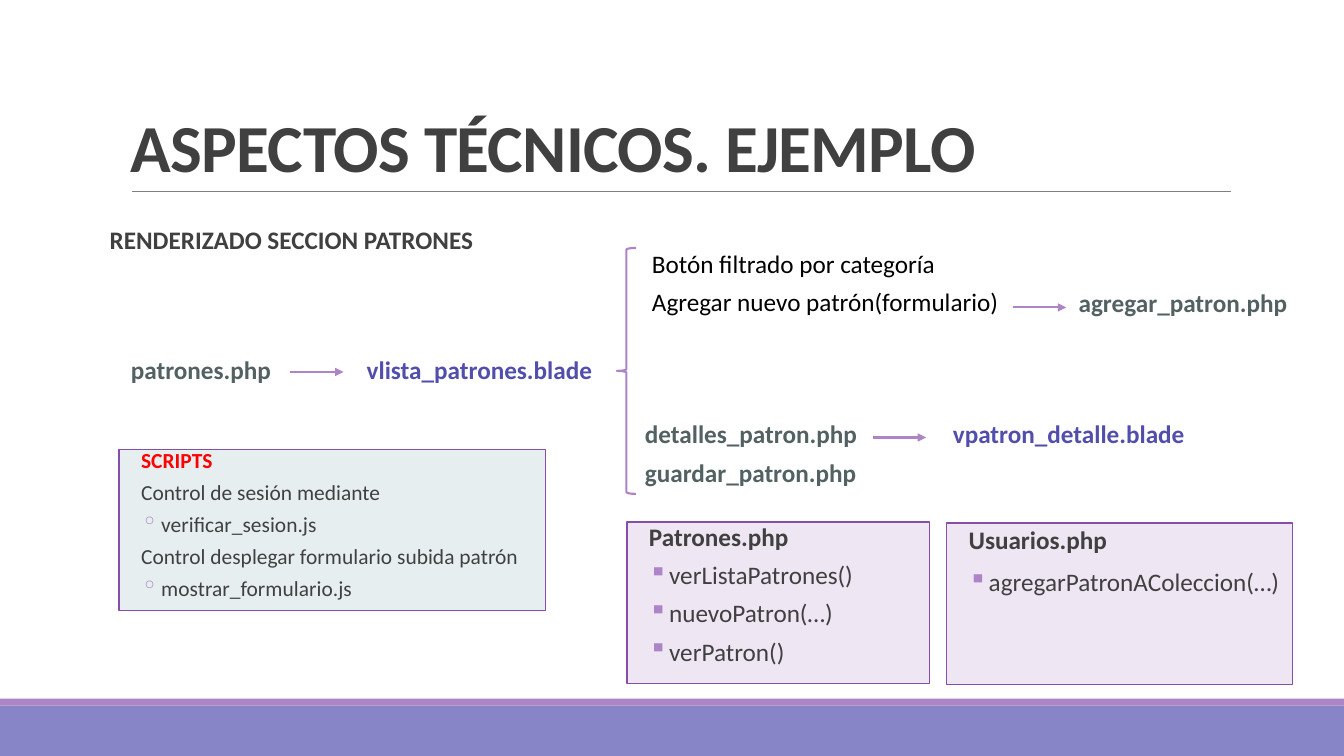
"""Build the slide on the technical aspects of rendering the patterns section."""
import pptx
import pptx.dml.color
import pptx.enum.shapes
import pptx.enum.text
import pptx.oxml.ns
import pptx.util
from lxml import etree

Pt = pptx.util.Pt
SHAPES = pptx.enum.shapes.MSO_SHAPE
ANCHORS = pptx.enum.text.MSO_ANCHOR

DARK, BLACK, RED = "404040", "000000", "FF0000"
PHP, BLADE = "536162", "524EAB"
LILAC, PURPLE, INDIGO, GREY = "AD84C6", "874EA9", "8784C7", "808080"
PALE_BLUE, PALE_LILAC = "E6EEF0", "EFE6F4"


def rgb(code):
    return pptx.dml.color.RGBColor.from_string(code)


def assign(target, values):
    for name, value in values.items():
        setattr(target, name, value)


def add_xml(parent, tag, **attributes):
    return etree.SubElement(parent, pptx.oxml.ns.qn(tag), attributes)


class SlideBuilder:
    font_name = "Calibri"

    def __init__(self, slide):
        self.slide = slide

    def shape(self, kind, left, top, width, height, fill=None, line=None, weight=1):
        shape = self.slide.shapes.add_shape(kind, Pt(left), Pt(top), Pt(width), Pt(height))
        shape.shadow.inherit = False
        if fill:
            shape.fill.solid()
            shape.fill.fore_color.rgb = rgb(fill)
        else:
            shape.fill.background()
        if line:
            shape.line.color.rgb = rgb(line)
            shape.line.width = Pt(weight)
        else:
            shape.line.fill.background()
        return shape

    def line(self, left, right, y, color, weight, arrow=False):
        connector = self.slide.shapes.add_connector(
            pptx.enum.shapes.MSO_CONNECTOR.STRAIGHT, Pt(left), Pt(y), Pt(right), Pt(y))
        connector.line.color.rgb = rgb(color)
        connector.line.width = Pt(weight)
        if arrow:
            add_xml(connector.get_or_add_ln(), "a:tailEnd", type="triangle")
        add_xml(connector._element.spPr, "a:effectLst")

    def fill_paragraph(self, paragraph, text, color, size=18, bold=False,
                       spacing=1.0, before=6, after=0):
        assign(paragraph, {
            "alignment": pptx.enum.text.PP_ALIGN.LEFT,
            "line_spacing": spacing,
            "space_before": Pt(before),
            "space_after": Pt(after),
        })
        run = paragraph.add_run()
        run.text = text
        assign(run.font, {"name": self.font_name, "size": Pt(size), "bold": bold})
        run.font.color.rgb = rgb(color)

    def paragraphs(self, frame, count):
        return [frame.paragraphs[0]] + [frame.add_paragraph() for _ in range(count - 1)]

    def label(self, left, top, width, height, lines, color, **style):
        box = self.slide.shapes.add_textbox(Pt(left), Pt(top), Pt(width), Pt(height))
        box.text_frame.word_wrap = True
        for paragraph, text in zip(self.paragraphs(box.text_frame, len(lines)), lines):
            self.fill_paragraph(paragraph, text, color, **style)
        return box

    def title(self, left, top, width, height, text):
        box = self.label(left, top, width, height, [text], DARK,
                         size=48, bold=True, spacing=0.85, before=0)
        box.text_frame.vertical_anchor = ANCHORS.BOTTOM
        run = box.text_frame.paragraphs[0].runs[0]
        run._r.get_or_add_rPr().set("spc", "-50")

    def panel(self, left, top, width, height, fill, heading, items, bullet,
              heading_color=DARK, size=18, spacing=0.9):
        box = self.shape(SHAPES.RECTANGLE, left, top, width, height, fill, PURPLE)
        frame = box.text_frame
        assign(frame, {"word_wrap": True, "vertical_anchor": ANCHORS.TOP,
                       "margin_left": 0, "margin_right": 0})
        rows = [(heading, heading_color, True, False)]
        rows += [(text, DARK, False, bulleted) for text, bulleted in items]
        for paragraph, row in zip(self.paragraphs(frame, len(rows)), rows):
            text, color, bold, bulleted = row
            self.fill_paragraph(paragraph, text, color, size, bold, spacing, after=4)
            properties = paragraph._p.get_or_add_pPr()
            properties.set("marL", str(int(Pt(30.2 if bulleted else 15.8))))
            properties.set("indent", str(int(Pt(-14.4 if bulleted else 0))))
            if bulleted:
                add_xml(add_xml(properties, "a:buClr"), "a:srgbClr", val=LILAC)
                add_xml(properties, "a:buChar", char=bullet)


def main():
    presentation = pptx.Presentation()
    assign(presentation, {"slide_width": Pt(960), "slide_height": Pt(540)})
    slide = presentation.slides.add_slide(presentation.slide_layouts[6])
    builder = SlideBuilder(slide)

    builder.shape(SHAPES.RECTANGLE, 0, 504, 960, 36, INDIGO)
    builder.shape(SHAPES.RECTANGLE, 0, 499, 960, 5, LILAC)
    builder.line(94.3, 879, 136.8, GREY, 0.5)
    builder.title(86.4, 22.3, 792, 114.5, "ASPECTOS TÉCNICOS. EJEMPLO")
    builder.label(71.3, 159.1, 400, 30, ["RENDERIZADO SECCION PATRONES"], DARK,
                  bold=True, spacing=0.9, after=4)

    line_step = 28
    form_top, detail_top, list_top = 173.5, 295.2, 249.8
    builder.label(458.6, form_top, 290, 57,
                  ["Botón filtrado por categoría", "Agregar nuevo patrón(formulario)"], BLACK)
    builder.label(453.6, detail_top, 180, 57,
                  ["detalles_patron.php", "guardar_patron.php"], PHP, bold=True)
    for left, top, text, color in (
            (86.4, list_top, "patrones.php", PHP),
            (254.9, list_top, "vlista_patrones.blade", BLADE),
            (763.4, form_top + line_step, "agregar_patron.php", PHP),
            (673.6, detail_top, "vpatron_detalle.blade", BLADE)):
        builder.label(left, top, 185, 29, [text], color, bold=True)

    for left, y in ((207.4, 265.7), (723.6, 219.6), (623.5, 312.5)):
        builder.line(left, left + 38, y, LILAC, 1.5, arrow=True)
    builder.shape(SHAPES.LEFT_BRACE, 440.6, 177.1, 13.7, 175.7, line=LILAC, weight=1.5)

    builder.panel(85, 321.1, 304.6, 115.2, PALE_BLUE, "SCRIPTS", [
        ("Control de sesión mediante", False),
        ("verificar_sesion.js", True),
        ("Control desplegar formulario subida patrón", False),
        ("mostrar_formulario.js", True),
    ], "◦", RED, 15.3, 0.7)
    builder.panel(447.8, 373, 216, 115.2, PALE_LILAC, "Patrones.php", [
        ("verListaPatrones()", True),
        ("nuevoPatron(…)", True),
        ("verPatron()", True),
    ], "▪", spacing=0.8)
    builder.panel(676.1, 373.7, 247, 115.2, PALE_LILAC, "Usuarios.php", [
        ("agregarPatronAColeccion(…)", True),
    ], "▪")

    presentation.save("out.pptx")


if __name__ == "__main__":
    main()
